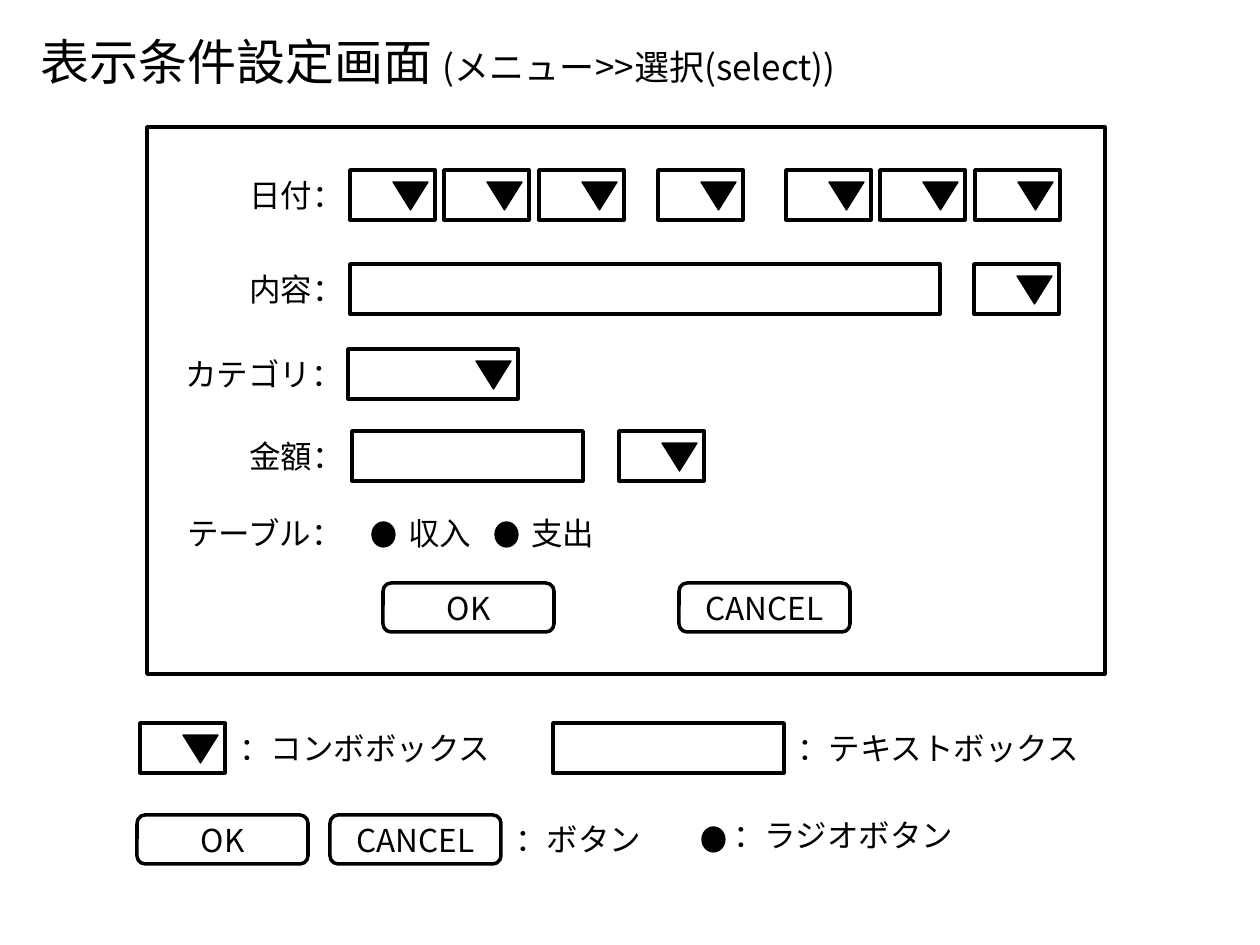
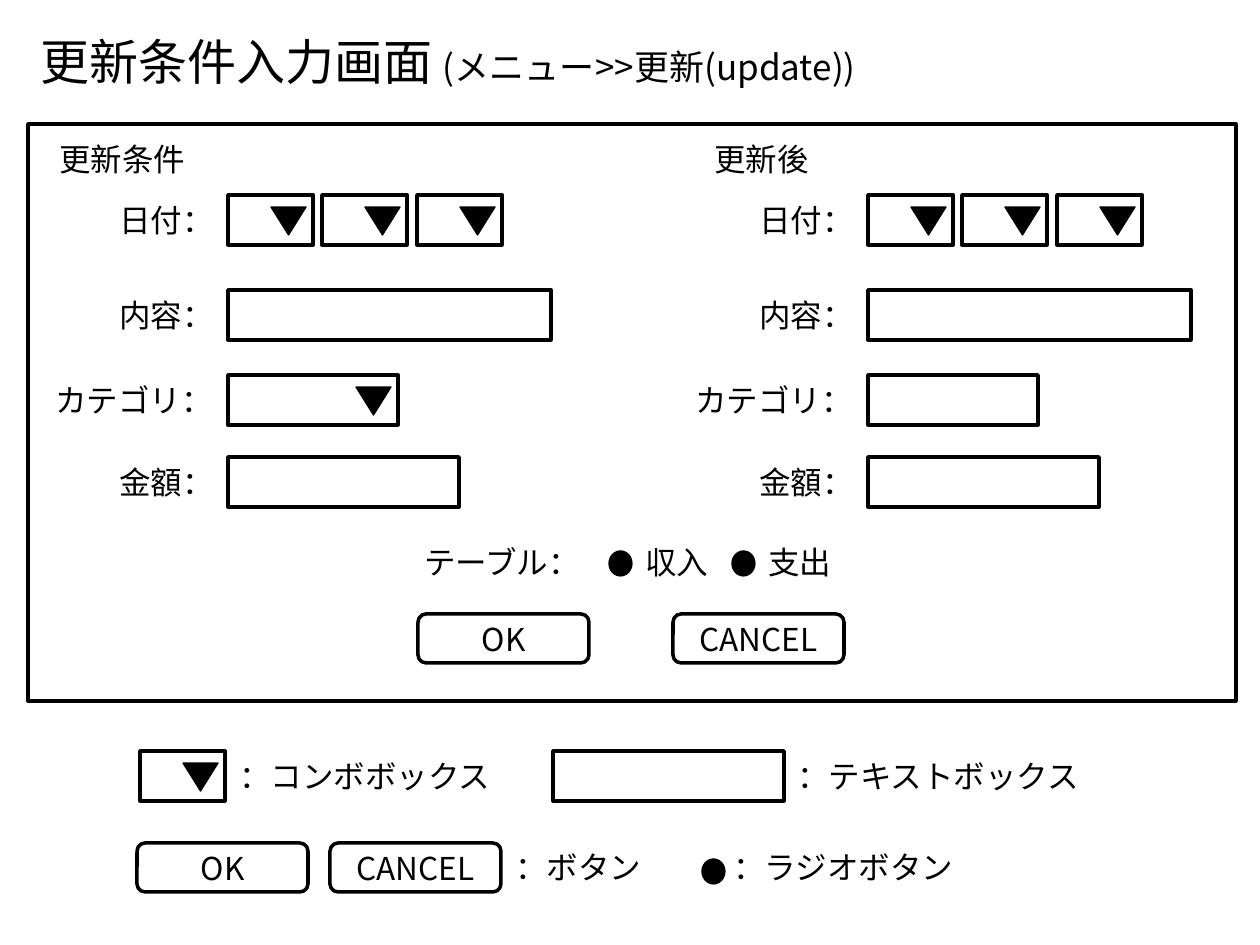
from lxml.etree import SubElement
from pptx import Presentation
from pptx.dml.color import RGBColor
from pptx.enum.shapes import MSO_SHAPE as Shape
from pptx.enum.text import MSO_ANCHOR as Anchor, MSO_AUTO_SIZE as AutoSize, PP_ALIGN as Align
from pptx.oxml.ns import qn
from pptx.util import Inches, Pt

PIXEL = Inches(1) / 126
INK = "000000"
FONT = "Noto Sans CJK JP"
ROW_HEIGHT = 50
COMBO_WIDTH = 85
CATEGORY_WIDTH = 170
AMOUNT_WIDTH = 231


def color(value):
    return RGBColor.from_string(value)


def lengths(*pixels):
    return [round(pixel * PIXEL) for pixel in pixels]


def text_width(text):
    return 25 + 32 * len(text)


class Wireframe:
    def __init__(self, deck):
        self.deck = deck
        self.page = None

    def style(self, para, size, align=Align.LEFT):
        para.alignment = align
        font = para.font
        font.size = Pt(size)
        font.color.rgb = color(INK)
        font.name = FONT
        SubElement(font._rPr, qn("a:ea")).set("typeface", FONT)

    def fit(self, frame):
        frame.word_wrap = False
        frame.auto_size = AutoSize.SHAPE_TO_FIT_TEXT
        frame.vertical_anchor = Anchor.TOP

    def start(self, heading, menu, width):
        self.page = self.deck.slides.add_slide(self.deck.slide_layouts[5])
        title = self.page.shapes.title
        title.left, title.top, title.width, title.height = lengths(28, 25, width, 72)
        self.fit(title.text_frame)
        para = title.text_frame.paragraphs[0]
        self.style(para, 28)
        for text, size in ((heading + " ", 28), (menu, 20)):
            span = para.add_run()
            span.text = text
            span.font.size = Pt(size)

    def shape(self, kind, left, top, width, height, solid=False):
        box = self.page.shapes.add_shape(kind, *lengths(left, top, width, height))
        box.shadow.inherit = False
        box.line.color.rgb = color(INK)
        box.line.width = Pt(0.75 if solid else 2)
        if solid:
            box.fill.solid()
            box.fill.fore_color.rgb = color(INK)
        else:
            box.fill.background()
        return box

    def field(self, left, top, width, height=ROW_HEIGHT):
        self.shape(Shape.RECTANGLE, left, top, width, height)

    def combo(self, left, top, width=COMBO_WIDTH):
        self.field(left, top, width)
        arrow = self.shape(Shape.ISOSCELES_TRIANGLE, left + width - 42, top + 12, 35, 28, solid=True)
        arrow.rotation = 180

    def date(self, left, top):
        for index in range(3):
            self.combo(left + round(94.5 * index), top)

    def text(self, left, top, text):
        box = self.page.shapes.add_textbox(*lengths(left, top, text_width(text), ROW_HEIGHT))
        self.fit(box.text_frame)
        para = box.text_frame.paragraphs[0]
        para.text = text
        self.style(para, 18)

    def labels(self, right, tops):
        for text, top in zip(("日付：", "内容：", "カテゴリ：", "金額："), tops):
            self.text(right - text_width(text), top, text)

    def buttons(self, top, *lefts):
        for text, left in zip(("OK", "CANCEL"), lefts):
            button = self.shape(Shape.ROUNDED_RECTANGLE, left, top, 171, 49)
            button.text_frame.vertical_anchor = Anchor.MIDDLE
            para = button.text_frame.paragraphs[0]
            para.text = text
            self.style(para, 18, Align.CENTER)

    def radio(self, left, top):
        self.shape(Shape.OVAL, left, top, 23, 25, solid=True)

    def table_choice(self, left, top):
        self.text(left, top, "テーブル：")
        for index, text in enumerate(("収入", "支出")):
            dot = left + 197 + 123 * index
            self.radio(dot, top + 14)
            self.text(dot + 24, top, text)

    def legend(self, top, radio_top):
        self.combo(140, top)
        self.text(227, top, "：コンボボックス")
        self.field(553, top, AMOUNT_WIDTH)
        self.text(785, top, "：テキストボックス")
        self.buttons(top + 92, 137, 330)
        self.text(503, top + 91, "：ボタン")
        self.radio(702, radio_top + 17)
        self.text(721, radio_top, "：ラジオボタン")


deck = Presentation()
deck.slide_width, deck.slide_height = Inches(10), Inches(7.5)
wireframe = Wireframe(deck)

wireframe.start("表示条件設定画面", "(メニュー>>選択(select))", 868)
wireframe.field(147, 127, 958, 547)
rows = date_row, content_row, category_row, amount_row = 170, 264, 349, 431
wireframe.labels(358, rows)
wireframe.date(350, date_row)
wireframe.combo(658, date_row)
wireframe.date(786, date_row)
wireframe.field(350, content_row, 590)
wireframe.combo(974, content_row)
wireframe.combo(348, category_row, CATEGORY_WIDTH)
wireframe.field(352, amount_row, AMOUNT_WIDTH)
wireframe.combo(619, amount_row)
wireframe.table_choice(175, 508)
wireframe.buttons(583, 383, 679)
wireframe.legend(723, 810)

wireframe.start("更新条件入力画面", "(メニュー>>更新(update))", 888)
wireframe.field(28, 124, 1208, 577)
rows = date_row, content_row, category_row, amount_row = 195, 290, 375, 457
for heading, heading_left, left in (("更新条件", 47, 228), ("更新後", 702, 868)):
    wireframe.text(heading_left, 134, heading)
    wireframe.labels(left, rows)
    wireframe.date(left, date_row)
    wireframe.field(left, content_row, 323)
    wireframe.field(left, amount_row, AMOUNT_WIDTH)
wireframe.combo(228, category_row, CATEGORY_WIDTH)
wireframe.field(868, category_row, CATEGORY_WIDTH)
wireframe.table_choice(412, 537)
wireframe.buttons(614, 418, 673)
wireframe.legend(751, 842)

deck.save("out.pptx")
